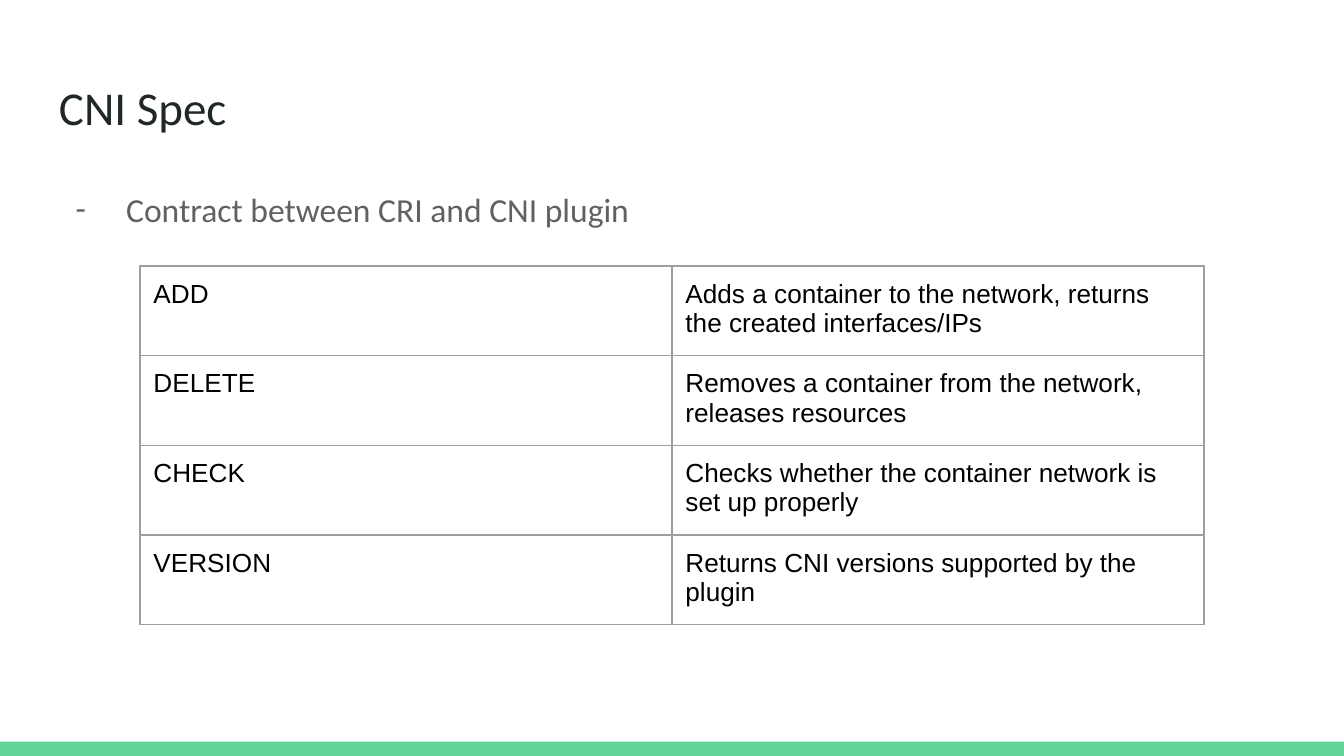
import lxml.etree
import pptx
import pptx.dml.color
import pptx.enum.shapes
import pptx.oxml
import pptx.oxml.ns
import pptx.util

Pt = pptx.util.Pt
RGBColor = pptx.dml.color.RGBColor

GREEN = RGBColor(0x63, 0xD2, 0x97)
INK = RGBColor(0x20, 0x27, 0x29)
GRAY = RGBColor(0x61, 0x61, 0x61)
BORDER = RGBColor(0x9E, 0x9E, 0x9E)
BLACK = RGBColor(0, 0, 0)
INSET = Pt(7.2)

OPERATIONS = [
    ("ADD", "Adds a container to the network, returns the created interfaces/IPs"),
    ("DELETE", "Removes a container from the network, releases resources"),
    ("CHECK", "Checks whether the container network is set up properly"),
    ("VERSION", "Returns CNI versions supported by the plugin"),
]


def add_element(parent, tag, **attributes):
    """Append a drawing element with the given attributes."""
    element = lxml.etree.SubElement(parent, pptx.oxml.ns.qn(tag))
    for key, value in attributes.items():
        element.set(key, str(value))
    return element


def set_font(paragraph, name, size, color):
    """Set the font of a whole paragraph."""
    paragraph.font.name = name
    paragraph.font.size = Pt(size)
    paragraph.font.color.rgb = color


def set_insets(holder):
    """Give a text frame or a cell equal margins."""
    holder.margin_left = holder.margin_right = INSET
    holder.margin_top = holder.margin_bottom = INSET


def add_footer_bar(slide, left, top, width, height):
    """Draw the green bar along the bottom edge."""
    bar = slide.shapes.add_shape(
        pptx.enum.shapes.MSO_SHAPE.RECTANGLE, left, top, width, height)
    bar.shadow.inherit = False
    bar.fill.solid()
    bar.fill.fore_color.rgb = GREEN
    bar.line.fill.background()


def add_text(slide, left, top, width, height, text):
    """Place a wrapped text box and return its paragraph."""
    frame = slide.shapes.add_textbox(left, top, width, height).text_frame
    frame.word_wrap = True
    set_insets(frame)
    paragraph = frame.paragraphs[0]
    paragraph.text = text
    return paragraph


def add_title(slide, left, top, width, height):
    """Place the slide title."""
    title = add_text(slide, left, top, width, height, "CNI Spec")
    set_font(title, "Calibri", 25.2, INK)


def add_body(slide, left, top, width, height):
    """Place the dashed statement under the title."""
    statement = add_text(slide, left, top, width, height,
                         "Contract between CRI and CNI plugin")
    statement.line_spacing = 1.15
    properties = statement._p.get_or_add_pPr()
    properties.set("marL", str(Pt(36)))
    properties.set("indent", str(-Pt(27)))
    bullet_color = add_element(properties, "a:buClr")
    add_element(bullet_color, "a:srgbClr", val=GRAY)
    add_element(properties, "a:buFont", typeface="Calibri")
    add_element(properties, "a:buChar", char="-")
    set_font(statement, "Calibri", 18, GRAY)


def style_cell(cell):
    """Give a cell its borders, clear fill, margins and font."""
    properties = cell._tc.get_or_add_tcPr()
    for side in ("L", "R", "T", "B"):
        line = add_element(properties, f"a:ln{side}", w=Pt(0.75))
        add_element(add_element(line, "a:solidFill"), "a:srgbClr", val=BORDER)
    cell.fill.background()
    set_insets(cell)
    set_font(cell.text_frame.paragraphs[0], "Arial", 14, BLACK)


def add_operations(slide, left, top, width, height):
    """Place the table of CNI operations in equal rows and columns."""
    table = slide.shapes.add_table(
        len(OPERATIONS), 2, left, top, width, height).table
    table.first_row = False
    table.horz_banding = False
    for row, texts in enumerate(OPERATIONS):
        for column, text in enumerate(texts):
            cell = table.cell(row, column)
            cell.text = text
            style_cell(cell)


def build():
    """Build and save the slide."""
    deck = pptx.Presentation()
    deck.slide_width, deck.slide_height = Pt(720), Pt(405)
    slide = deck.slides.add_slide(deck.slide_layouts[6])
    add_footer_bar(slide, 0, Pt(397.4), Pt(720), Pt(7.6))
    add_title(slide, Pt(24.5), Pt(35), Pt(671), Pt(45))
    add_body(slide, Pt(24.5), Pt(90.75), Pt(671), Pt(269))
    add_operations(slide, Pt(75), Pt(142.5), Pt(570), Pt(183.2))
    deck.save("out.pptx")


if __name__ == "__main__":
    build()
